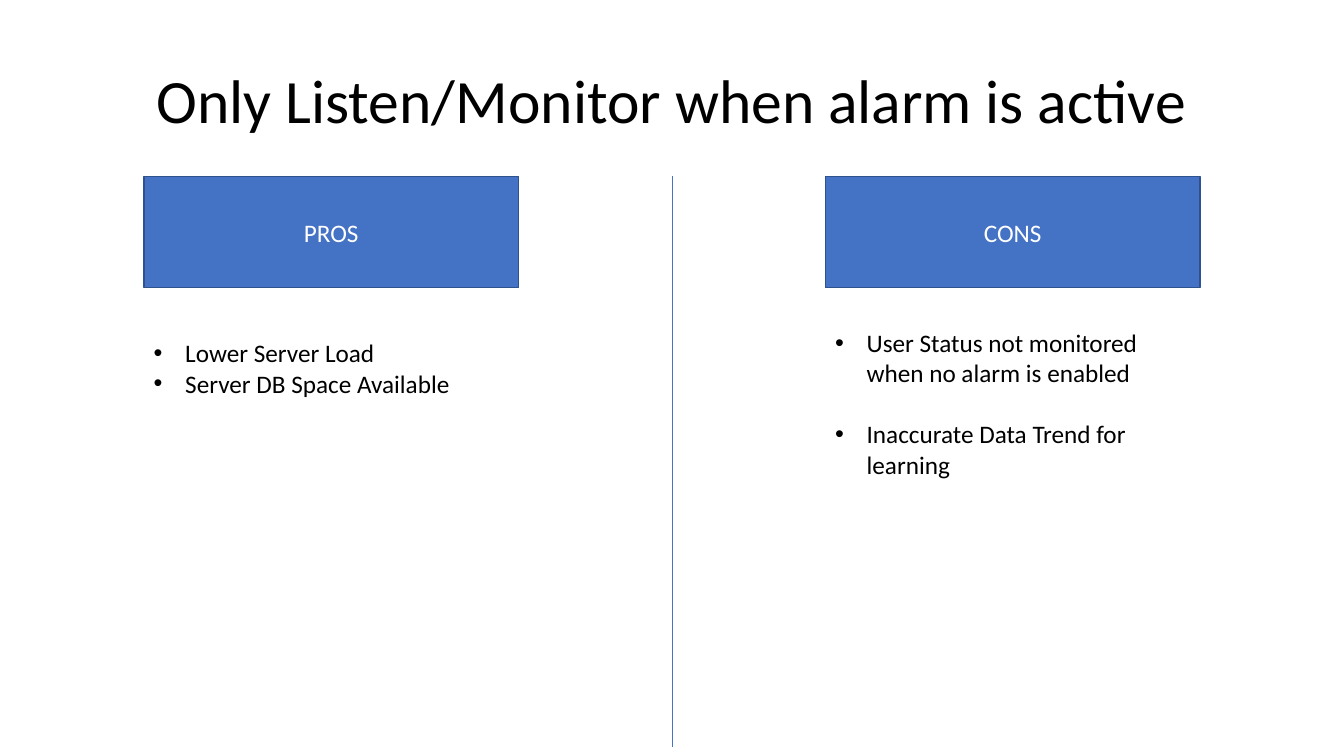
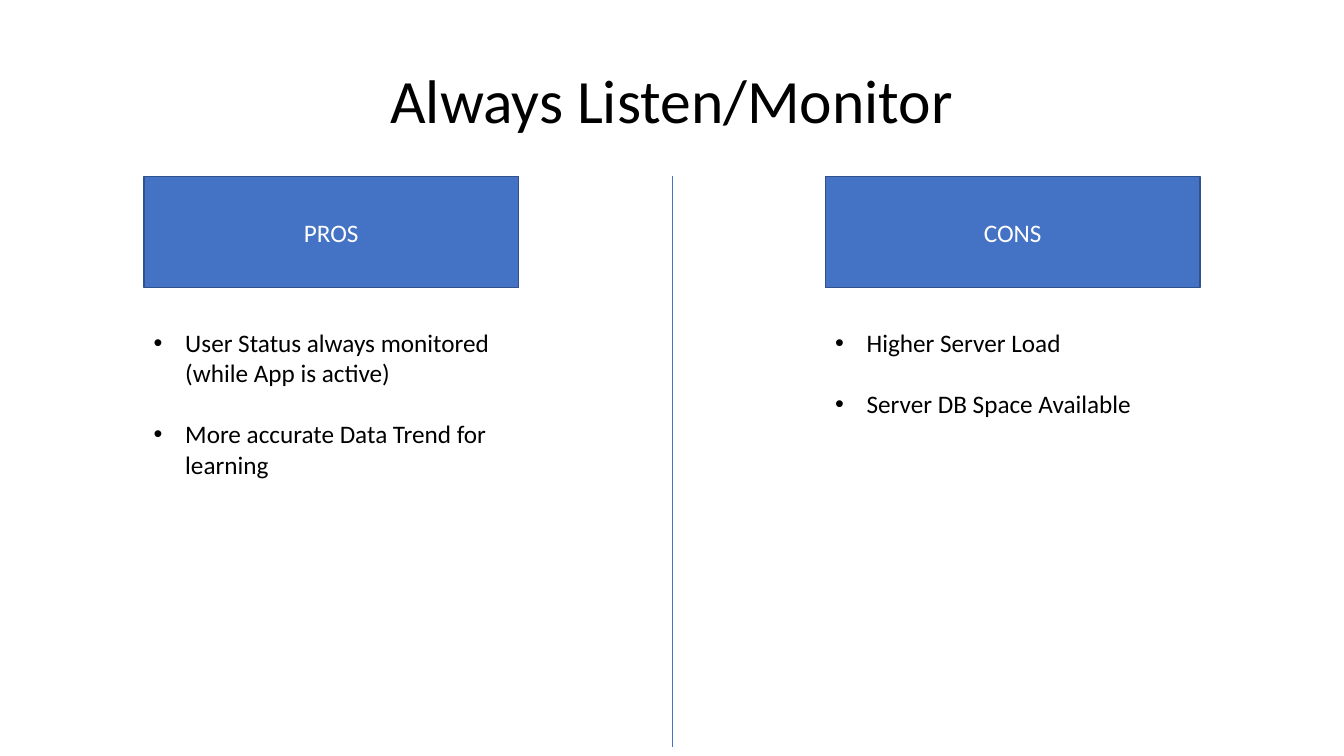
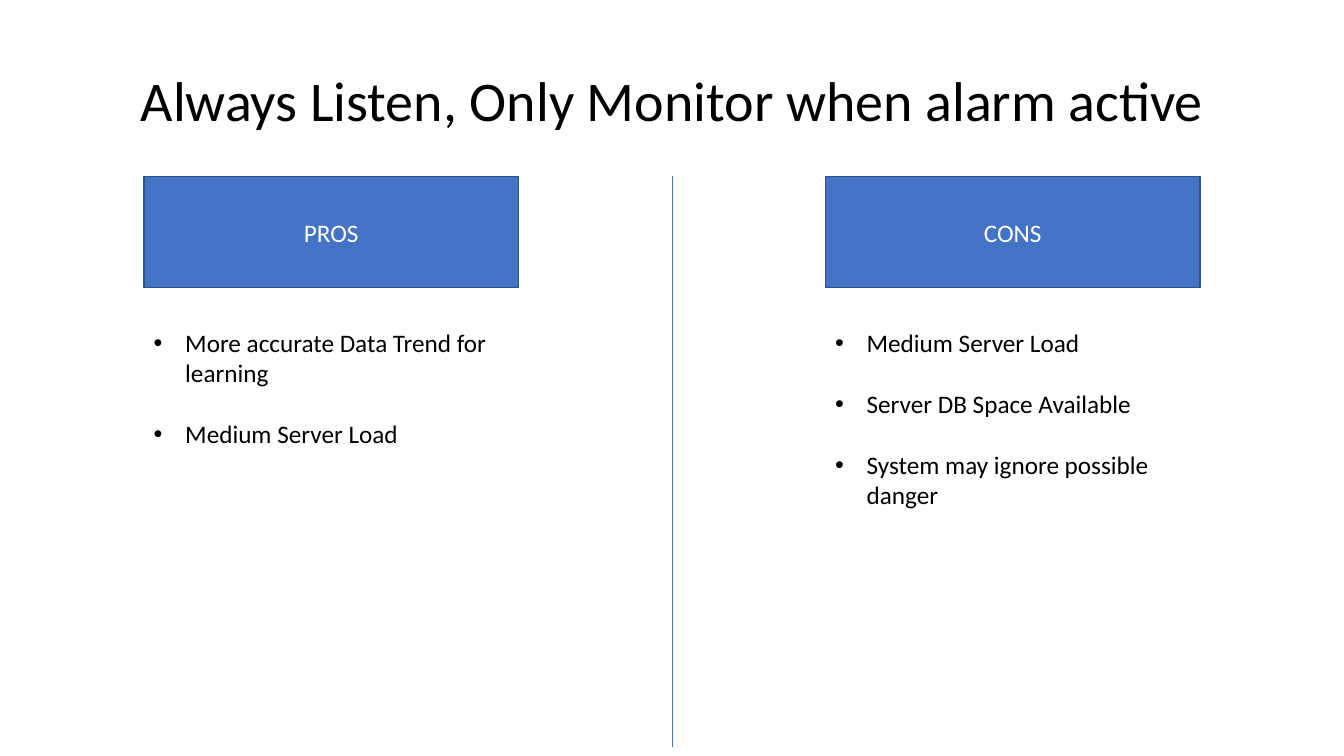
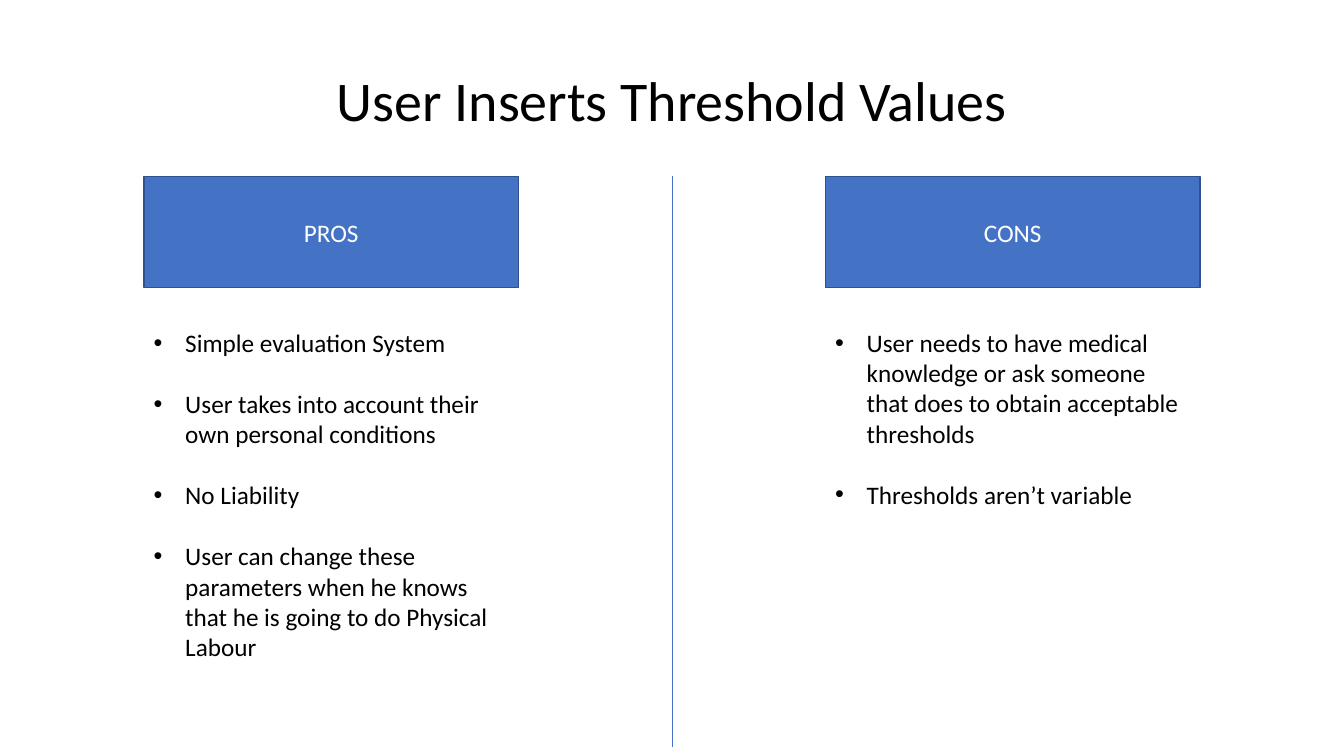
"""Four pros-and-cons slides about alarm monitoring options."""
from lxml import etree
from pptx import Presentation
from pptx import util as u
from pptx.dml.color import RGBColor
from pptx.enum import shapes, text
from pptx.oxml.ns import qn

PX = 9525
SLIDE_W, SLIDE_H = 1280, 720
TITLE_LEFT, TITLE_TOP, TITLE_H = 88, 29, 139
HEADING_TOP, HEADING_W, HEADING_H = 168, 357, 106
PROS_LEFT = 137
CONS_LEFT = SLIDE_W - PROS_LEFT - HEADING_W
POINTS_TOP, DIVIDER_BOTTOM = 307, 711
LINE_H, BOX_MARGINS, BULLET_INDENT = 29, 10, 30

FONT = "Calibri"
BODY_SIZE = 18
POINT_GAP = 22
BLACK = RGBColor(0x00, 0x00, 0x00)
WHITE = RGBColor(0xFF, 0xFF, 0xFF)
BLUE = RGBColor(0x44, 0x72, 0xC4)
DARK_BLUE = RGBColor(0x2F, 0x52, 0x8F)


def px(*lengths):
    """Turn pixel lengths into EMU."""
    return [u.Emu(length * PX) for length in lengths]


def style(paragraph, size, color):
    """Give every run of a paragraph the deck font."""
    for run in paragraph.runs:
        run.font.name = FONT
        run.font.size = u.Pt(size)
        run.font.color.rgb = color


def add_title(slide, wording, size):
    """Place and format the title."""
    title = slide.shapes.title
    title.left, title.top, title.width, title.height = px(
        TITLE_LEFT, TITLE_TOP, SLIDE_W - 2 * TITLE_LEFT, TITLE_H)
    frame = title.text_frame
    frame.text = wording
    frame.auto_size = text.MSO_AUTO_SIZE.NONE
    frame.vertical_anchor = text.MSO_ANCHOR.MIDDLE
    paragraph = frame.paragraphs[0]
    paragraph.alignment = text.PP_ALIGN.CENTER
    paragraph.line_spacing = 0.9
    style(paragraph, size, BLACK)


def add_heading(slide, left, wording):
    """Draw the blue heading of one column."""
    heading = slide.shapes.add_shape(
        shapes.MSO_SHAPE.RECTANGLE, *px(left, HEADING_TOP, HEADING_W, HEADING_H))
    heading.shadow.inherit = False
    heading.fill.solid()
    heading.fill.fore_color.rgb = BLUE
    heading.line.color.rgb = DARK_BLUE
    heading.line.width = u.Pt(1)
    frame = heading.text_frame
    frame.text = wording
    frame.vertical_anchor = text.MSO_ANCHOR.MIDDLE
    frame.paragraphs[0].alignment = text.PP_ALIGN.CENTER
    style(frame.paragraphs[0], BODY_SIZE, WHITE)


def add_divider(slide):
    """Draw the line between the two columns."""
    middle = SLIDE_W // 2
    divider = slide.shapes.add_connector(
        shapes.MSO_CONNECTOR.STRAIGHT,
        *px(middle, HEADING_TOP, middle, DIVIDER_BOTTOM))
    divider.line.color.rgb = BLUE
    divider.line.width = u.Pt(0.5)
    etree.SubElement(divider._element.spPr, qn("a:effectLst"))


def add_bullet(paragraph):
    """Give a paragraph a hanging bullet."""
    properties = paragraph._p.get_or_add_pPr()
    indent = BULLET_INDENT * PX
    properties.set("marL", str(indent))
    properties.set("indent", str(-indent))
    color = etree.SubElement(properties, qn("a:buClr"))
    etree.SubElement(color, qn("a:srgbClr"), val=str(BLACK))
    etree.SubElement(properties, qn("a:buFont"), typeface="Arial")
    etree.SubElement(properties, qn("a:buChar"), char="•")


def add_points(slide, left, points, lines, top=POINTS_TOP, gap=POINT_GAP):
    """Write the bulleted points of one column."""
    box = slide.shapes.add_textbox(
        *px(left, top, HEADING_W, BOX_MARGINS + lines * LINE_H))
    frame = box.text_frame
    frame.word_wrap = True
    frame.auto_size = text.MSO_AUTO_SIZE.SHAPE_TO_FIT_TEXT
    frame.text = "\n".join(points)
    for number, paragraph in enumerate(frame.paragraphs):
        add_bullet(paragraph)
        if number and gap:
            paragraph.space_before = u.Pt(gap)
        style(paragraph, BODY_SIZE, BLACK)


def add_comparison(deck, title, size=44):
    """Add a slide with its title, two headings and divider."""
    slide = deck.slides.add_slide(deck.slide_layouts[5])
    add_title(slide, title, size)
    add_heading(slide, PROS_LEFT, "PROS")
    add_heading(slide, CONS_LEFT, "CONS")
    add_divider(slide)
    return slide


def main():
    """Build and save the deck."""
    deck = Presentation()
    deck.slide_width, deck.slide_height = px(SLIDE_W, SLIDE_H)

    active_only = add_comparison(deck, "Only Listen/Monitor when alarm is active")
    add_points(active_only, PROS_LEFT, [
        "Lower Server Load",
        "Server DB Space Available"], 2, top=317, gap=0)
    add_points(active_only, CONS_LEFT, [
        "User Status not monitored when no alarm is enabled",
        "Inaccurate Data Trend for learning"], 5)

    always = add_comparison(deck, "Always Listen/Monitor")
    add_points(always, PROS_LEFT, [
        "User Status always monitored (while App is active)",
        "More accurate Data Trend for learning"], 5)
    add_points(always, CONS_LEFT, [
        "Higher Server Load",
        "Server DB Space Available"], 4)

    mixed = add_comparison(
        deck, "Always Listen, Only Monitor when alarm active", 40)
    add_points(mixed, PROS_LEFT, [
        "More accurate Data Trend for learning",
        "Medium Server Load"], 4)
    add_points(mixed, CONS_LEFT, [
        "Medium Server Load",
        "Server DB Space Available",
        "System may ignore possible danger"], 7)

    thresholds = add_comparison(deck, "User Inserts Threshold Values", 40)
    add_points(thresholds, PROS_LEFT, [
        "Simple evaluation System",
        "User takes into account their own personal conditions",
        "No Liability",
        "User can change these parameters when he knows that he is going "
        "to do Physical Labour"], 11)
    add_points(thresholds, CONS_LEFT, [
        "User needs to have medical knowledge or ask someone that does "
        "to obtain acceptable thresholds",
        "Thresholds aren’t variable"], 6)

    deck.save("out.pptx")


if __name__ == "__main__":
    main()
